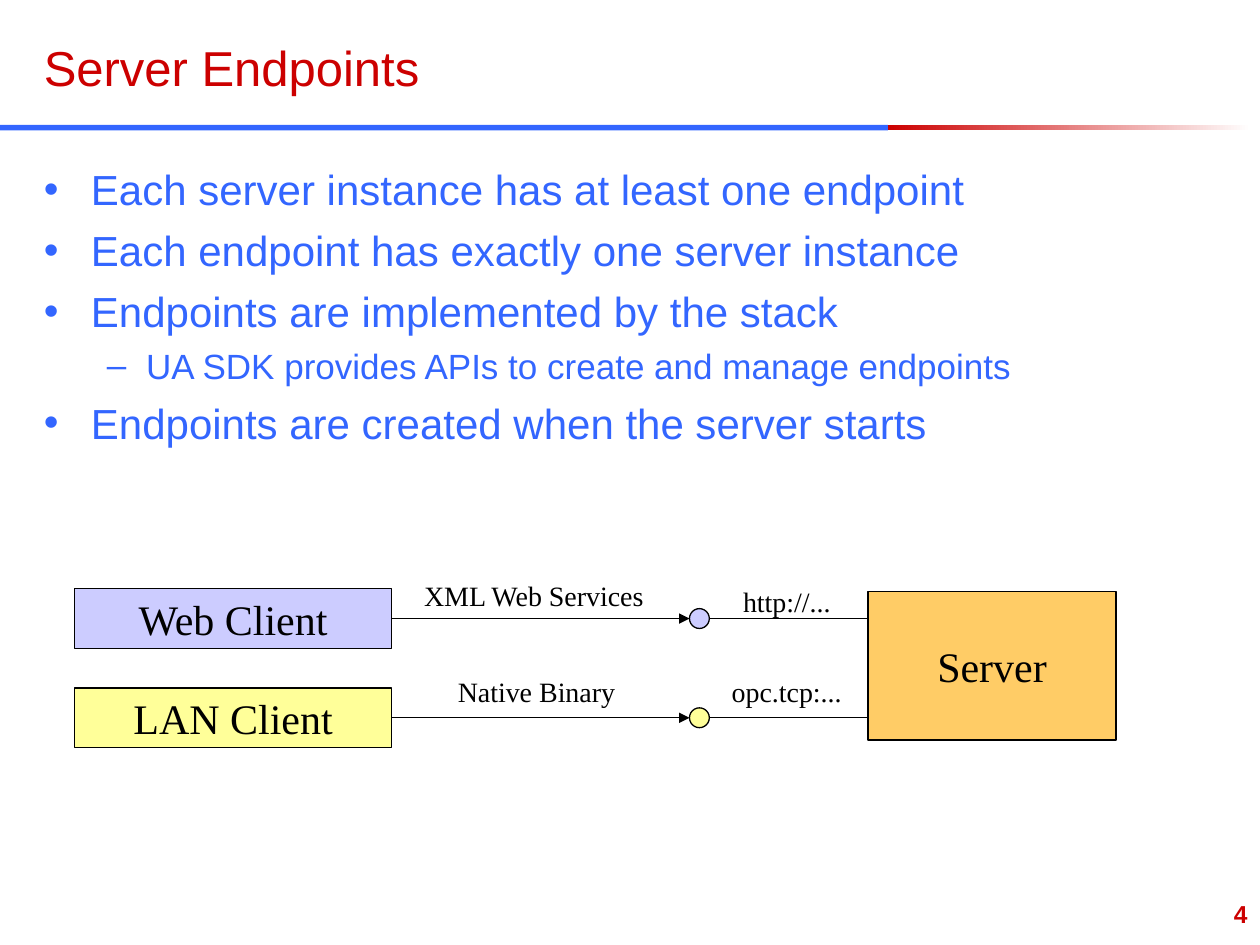
from pptx import Presentation
from pptx.dml.color import RGBColor
from pptx.enum.shapes import MSO_CONNECTOR, MSO_SHAPE
from pptx.enum.text import MSO_ANCHOR, PP_ALIGN
from pptx.oxml.ns import qn
from pptx.util import Cm, Pt
from lxml import etree

RECT, OVAL = MSO_SHAPE.RECTANGLE, MSO_SHAPE.OVAL
STRAIGHT = MSO_CONNECTOR.STRAIGHT
TOP, MIDDLE = MSO_ANCHOR.TOP, MSO_ANCHOR.MIDDLE
LEFT, CENTER, RIGHT = PP_ALIGN.LEFT, PP_ALIGN.CENTER, PP_ALIGN.RIGHT
SANS, SERIF = "Arial", "Times New Roman"
RED, BLUE, BLACK, WHITE = "CC0000", "3366FF", "000000", "FFFFFF"
LILAC, YELLOW, ORANGE = "CCCCFF", "FFFF99", "FFCC66"


def rgb(value):
    """Turn a hex string into a colour."""
    return RGBColor.from_string(value)


class Sheet:
    """Hold the slide and draw each kind of element in its style."""

    def __init__(self, slide):
        """Keep the slide to draw on."""
        self.slide = slide

    def style(self, paragraph, size, font, color, align=LEFT, bold=False):
        """Format a paragraph and its runs."""
        paragraph.alignment = align
        for run in paragraph.runs:
            run.font.size = Pt(size)
            run.font.name = font
            run.font.bold = bold
            run.font.color.rgb = rgb(color)

    def place(self, holder, left, top, width, height):
        """Move and size a placeholder."""
        holder.left, holder.top = Cm(left), Cm(top)
        holder.width, holder.height = Cm(width), Cm(height)

    def title(self, text, *box):
        """Fill the title placeholder."""
        heading = self.slide.shapes.title
        self.place(heading, *box)
        heading.text_frame.text = text
        heading.text_frame.vertical_anchor = MIDDLE
        self.style(heading.text_frame.paragraphs[0], 28, SANS, RED)

    def bullets(self, items, *box):
        """Fill the body placeholder with (level, text) items."""
        body = self.slide.placeholders[1]
        self.place(body, *box)
        frame = body.text_frame
        frame.vertical_anchor = TOP
        frame.text = "\n".join(text for _, text in items)
        for paragraph, (level, _) in zip(frame.paragraphs, items):
            size, space, margin, hang, mark = [
                (24, 6, 0.95, 0.95, "•"), (20, 5, 2.06, 0.79, "–")][level]
            paragraph.level = level
            paragraph.space_before = Pt(space)
            self.style(paragraph, size, SANS, BLUE)
            props = paragraph._p.get_or_add_pPr()
            props.set("marL", str(Cm(margin)))
            props.set("indent", str(-Cm(hang)))
            tint = etree.SubElement(props, qn("a:buClr"))
            etree.SubElement(tint, qn("a:srgbClr"), val=BLUE)
            etree.SubElement(props, qn("a:buFont"), typeface=SANS)
            etree.SubElement(props, qn("a:buChar"), char=mark)

    def bar(self, left, top, width, height, color, fade=None):
        """Draw a borderless bar, fading to a second colour if given."""
        strip = self.slide.shapes.add_shape(
            RECT, Cm(left), Cm(top), Cm(width), Cm(height))
        strip.shadow.inherit = False
        strip.line.fill.background()
        if fade:
            strip.fill.gradient()
            strip.fill.gradient_angle = 0
            for stop, tone in zip(strip.fill.gradient_stops, (color, fade)):
                stop.color.rgb = rgb(tone)
        else:
            strip.fill.solid()
            strip.fill.fore_color.rgb = rgb(color)

    def node(self, kind, left, top, width, height, color, text=""):
        """Draw an outlined shape with centred text."""
        node = self.slide.shapes.add_shape(
            kind, Cm(left), Cm(top), Cm(width), Cm(height))
        node.shadow.inherit = False
        node.fill.solid()
        node.fill.fore_color.rgb = rgb(color)
        node.line.color.rgb = rgb(BLACK)
        node.line.width = Pt(0.75)
        if text:
            node.text_frame.text = text
            node.text_frame.word_wrap = False
            node.text_frame.vertical_anchor = MIDDLE
            self.style(node.text_frame.paragraphs[0], 24, SERIF, BLACK, CENTER)

    def link(self, start, end, y, arrow=False):
        """Draw a level line, with an arrowhead at its end if asked."""
        link = self.slide.shapes.add_connector(
            STRAIGHT, Cm(start), Cm(y), Cm(end), Cm(y))
        link.line.color.rgb = rgb(BLACK)
        link.line.width = Pt(0.75)
        if arrow:
            etree.SubElement(link.line._get_or_add_ln(), qn("a:tailEnd"),
                             type="triangle")
        etree.SubElement(link._element.spPr, qn("a:effectLst"))

    def label(self, text, left, top, width, height=0.93, size=16, font=SERIF,
              color=BLACK, align=LEFT, bold=False):
        """Write a one-line text box."""
        label = self.slide.shapes.add_textbox(
            Cm(left), Cm(top), Cm(width), Cm(height))
        label.text_frame.text = text
        label.text_frame.word_wrap = align == RIGHT
        self.style(label.text_frame.paragraphs[0], size, font, color, align, bold)


def main():
    """Build the slide and save it."""
    deck = Presentation()
    deck.slide_width, deck.slide_height = Cm(25.4), Cm(19.05)
    sheet = Sheet(deck.slides.add_slide(deck.slide_layouts[1]))

    sheet.bar(17.9, 2.52, 7.32, 0.11, RED, WHITE)
    sheet.bar(0, 2.52, 17.9, 0.11, BLUE)
    sheet.title("Server Endpoints", 0.63, 0.62, 17.35, 1.47)
    sheet.bullets([
        (0, "Each server instance has at least one endpoint"),
        (0, "Each endpoint has exactly one server instance"),
        (0, "Endpoints are implemented by the stack"),
        (1, "UA SDK provides APIs to create and manage endpoints"),
        (0, "Endpoints are created when the server starts"),
    ], 0.63, 3.17, 24.13, 14.6)

    client_left, client_width, client_height = 1.5, 6.4, 1.2
    client_right = client_left + client_width
    port_left, port_size = 13.9, 0.4
    server_left = 17.5
    first_lane, lane_gap = 12.47, 2

    sheet.node(RECT, server_left, 11.92, 5, 3, ORANGE, "Server")
    lanes = [
        ("Web Client", LILAC, ("XML Web Services", 8.3, 11.53, 5.1),
         ("http://...", 14.73, 11.66, 2.5)),
        ("LAN Client", YELLOW, ("Native Binary", 8.98, 13.47, 3.8),
         ("opc.tcp:...", 14.5, 13.47, 2.9)),
    ]
    for index, (client, color, protocol, address) in enumerate(lanes):
        y = first_lane + index * lane_gap
        sheet.node(RECT, client_left, y - client_height / 2,
                   client_width, client_height, color, client)
        sheet.link(client_right, port_left, y, arrow=True)
        sheet.link(server_left, port_left + port_size, y)
        sheet.node(OVAL, port_left, y - port_size / 2,
                   port_size, port_size, color)
        sheet.label(*protocol)
        sheet.label(*address)

    sheet.label("4", 20.12, 17.99, 5.28, 1.06, 14, SANS, RED, RIGHT, True)
    deck.save("out.pptx")


if __name__ == "__main__":
    main()
